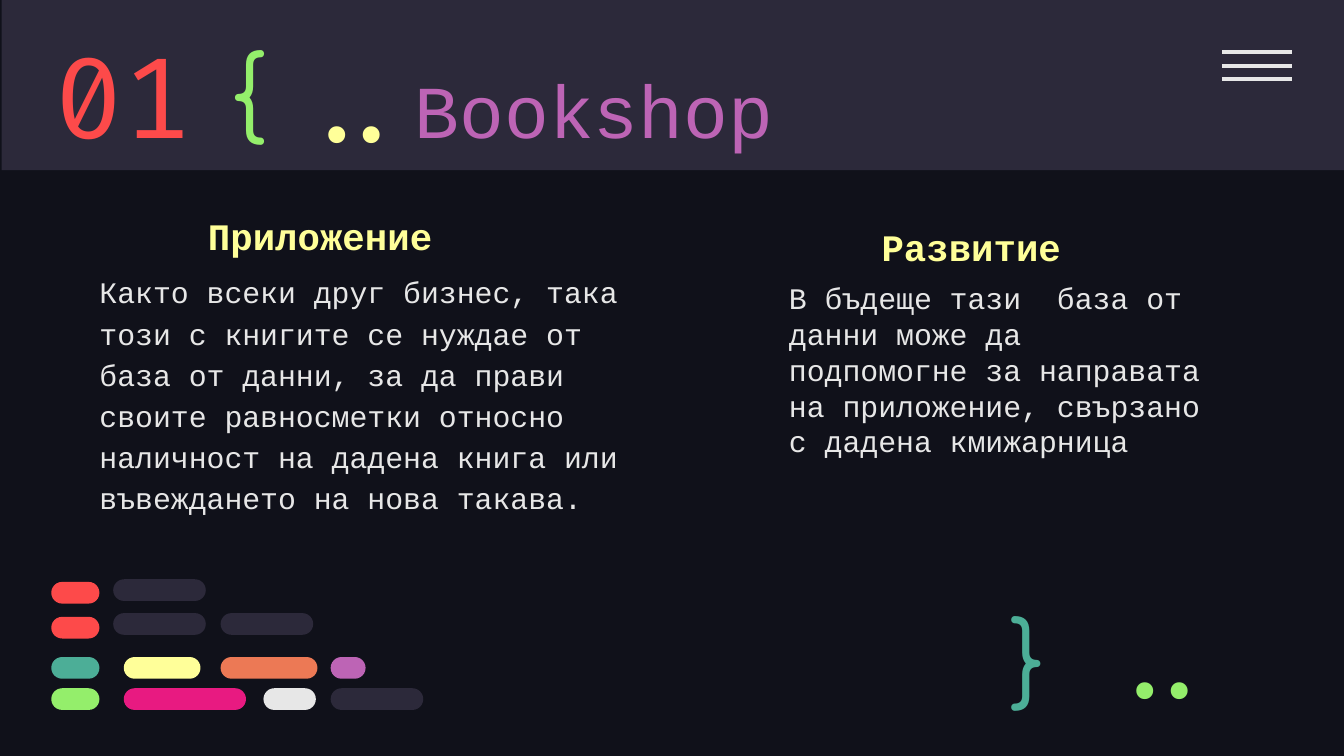
from dataclasses import dataclass

from pptx import Presentation
from pptx.dml.color import RGBColor
from pptx.enum.shapes import MSO_CONNECTOR as Connector, MSO_SHAPE as Shape
from pptx.enum.text import MSO_ANCHOR as Anchor, MSO_AUTO_SIZE as AutoSize, PP_ALIGN as Align
from pptx.oxml.xmlchemy import OxmlElement
from pptx.util import Cm, Pt


@dataclass(frozen=True)
class Theme:
    night: str = "10111A"
    slate: str = "2C293A"
    white: str = "E7E7E7"
    red: str = "FD4A4A"
    purple: str = "BD64B5"
    yellow: str = "FFFF99"
    orange: str = "EC7955"
    pink: str = "E81A81"
    green: str = "94EE6B"
    teal: str = "4CAE97"
    mono: str = "Courier New"
    code: str = "Fira Code"
    rounded: str = "Comfortaa"
    number: int = 60
    symbol: int = 50
    title: int = 40
    heading: int = 20
    body: int = 16


@dataclass(frozen=True)
class Box:
    left: float
    top: float
    width: float
    height: float

    def inside(self, left, top, width, height):
        return Box(self.left + left, self.top + top, width, height)

    def lengths(self):
        return [Cm(value) for value in (self.left, self.top, self.width, self.height)]


THEME = Theme()


def color(value):
    return RGBColor.from_string(value)


def place(shape, box):
    shape.left, shape.top, shape.width, shape.height = box.lengths()


def write(shape, text, size, tint, font=THEME.mono, bold=False, align=Align.LEFT,
          anchor=Anchor.TOP, inset=0.25, spacing=1.0):
    frame = shape.text_frame
    frame.text = text
    frame.word_wrap = True
    frame.auto_size = AutoSize.NONE
    frame.vertical_anchor = anchor
    frame.margin_left = frame.margin_right = Cm(0.25)
    frame.margin_top = frame.margin_bottom = Cm(inset)
    para = frame.paragraphs[0]
    properties = para._p.get_or_add_pPr()
    properties.set("marL", "0")
    properties.set("indent", "0")
    properties.append(OxmlElement("a:buNone"))
    para.alignment = align
    para.space_before = Pt(0)
    para.line_spacing = spacing
    for span in para.runs:
        span.font.name = font
        span.font.size = Pt(size)
        span.font.bold = bold
        span.font.color.rgb = color(tint)


def add_text(page, box, *args, **options):
    write(page.shapes.add_textbox(*box.lengths()), *args, **options)


def add_fill(page, kind, box, tint):
    shape = page.shapes.add_shape(kind, *box.lengths())
    shape.shadow.inherit = False
    shape.fill.solid()
    shape.fill.fore_color.rgb = color(tint)
    shape.line.fill.background()
    return shape


def add_brace(page, box, text, tint):
    add_text(page, box, text, THEME.symbol, tint, THEME.rounded)


def add_dots(page, box, tint):
    add_text(page, box, "..", THEME.symbol, tint, THEME.code,
             align=Align.RIGHT, anchor=Anchor.MIDDLE)


def add_menu(page, box, count=3):
    step = box.height / (count - 1)
    for row in range(count):
        height = Cm(box.top + row * step)
        line = page.shapes.add_connector(
            Connector.STRAIGHT, Cm(box.left), height, Cm(box.left + box.width), height)
        line.line.color.rgb = color(THEME.white)
        line.line.width = Pt(2.25)
        line.element.spPr.append(OxmlElement("a:effectLst"))


def add_header(page, box):
    title = page.shapes.title
    band = add_fill(page, Shape.RECTANGLE, box, THEME.slate)
    title.element.addprevious(band.element)
    place(title, box.inside(7.56, 0.38, 18.44, 3.33))
    write(title, "Bookshop", THEME.title, THEME.purple, anchor=Anchor.MIDDLE)
    add_text(page, box.inside(0.76, 0.51, 4.6, 2.54), "01", THEME.number, THEME.red,
             THEME.code, anchor=Anchor.MIDDLE)
    add_brace(page, box.inside(4.08, 0.33, 1.96, 2.41), "{", THEME.green)
    add_dots(page, box.inside(5.28, 1.22, 2.72, 1.52), THEME.yellow)
    add_menu(page, box.inside(23.06, 0.99, 1.32, 0.51))


def add_column(heading, body, box, heading_box, heading_text, body_text, **options):
    place(heading, heading_box)
    write(heading, heading_text, THEME.heading, THEME.yellow, bold=True, inset=0.13)
    place(body, box)
    write(body, body_text, THEME.body, THEME.white, **options)


def add_code_bars(page, box):
    rows = [
        (0, [(1.17, 1.75, THEME.slate)]),
        (0.05, [(0, 0.91, THEME.red)]),
        (0.64, [(1.17, 1.75, THEME.slate), (3.2, 1.75, THEME.slate)]),
        (0.71, [(0, 0.91, THEME.red)]),
        (1.47, [(0, 0.91, THEME.teal), (1.37, 1.45, THEME.yellow),
                (3.2, 1.83, THEME.orange), (5.28, 0.66, THEME.purple)]),
        (2.06, [(0, 0.91, THEME.green), (1.37, 2.31, THEME.pink),
                (4.01, 0.99, THEME.white), (5.28, 1.75, THEME.slate)]),
    ]
    for top, bars in rows:
        for left, width, tint in bars:
            bar = add_fill(page, Shape.ROUNDED_RECTANGLE,
                           box.inside(left, top, width, 0.41), tint)
            bar.adjustments[0] = 0.5


def add_closing(page, box):
    add_brace(page, box.inside(0, 0, 1.45, 2.11), "}", THEME.teal)
    add_dots(page, box.inside(1.73, 0.71, 2.72, 1.52), THEME.green)


def main():
    deck = Presentation()
    deck.slide_width, deck.slide_height = Cm(25.4), Cm(14.29)
    page = deck.slides.add_slide(deck.slide_layouts.get_by_name("Comparison"))
    page.background.fill.solid()
    page.background.fill.fore_color.rgb = color(THEME.night)
    _, left_heading, left_body, right_heading, right_body = page.placeholders

    add_header(page, Box(0.03, 0, 25.4, 3.22))
    add_column(
        left_heading, left_body, Box(1.63, 4.83, 11.02, 0.79), Box(3.68, 3.89, 6.48, 1.12),
        "Приложение",
        "Както всеки друг бизнес, така този с книгите се нуждае от база от данни, "
        "за да прави своите равносметки относно наличност на дадена книга или "
        "въвеждането на нова такава.",
        spacing=1.15)
    add_column(
        right_heading, right_body, Box(14.66, 5.16, 8.41, 3.68), Box(16.41, 4.11, 4.06, 1.12),
        "Развитие",
        "В бъдеще тази  база от данни може да подпомогне за направата на приложение, "
        "свързано с дадена кмижарница",
        inset=0.13)
    add_code_bars(page, Box(0.97, 10.95, 7.03, 2.47))
    add_closing(page, Box(18.85, 11.02, 4.45, 2.23))
    deck.save("out.pptx")


if __name__ == "__main__":
    main()
